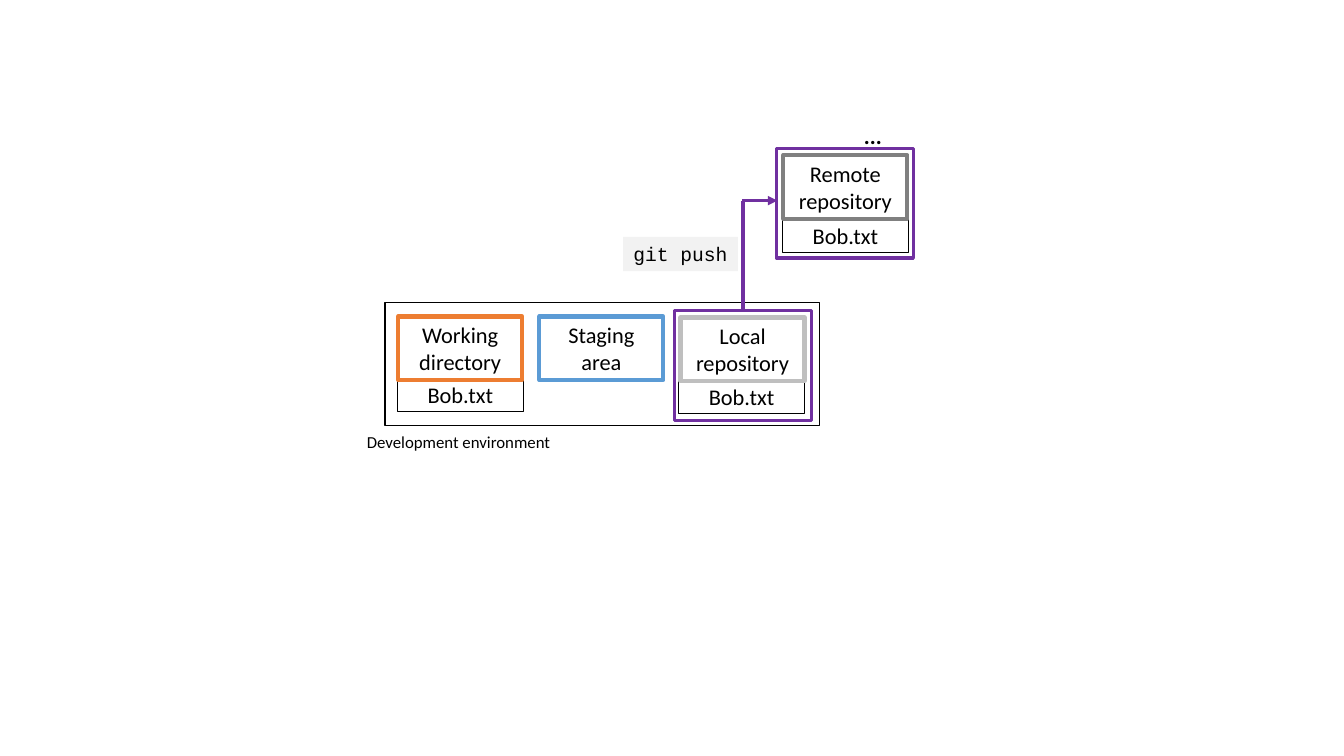
from lxml import etree
from pptx import Presentation
from pptx import util as u
from pptx.dml.color import RGBColor
from pptx.enum import shapes, text
from pptx.oxml import ns

BLACK = RGBColor(0x00, 0x00, 0x00)
ORANGE = RGBColor(0xED, 0x7D, 0x31)
BLUE = RGBColor(0x5B, 0x9B, 0xD5)
SILVER = RGBColor(0xBF, 0xBF, 0xBF)
GRAY = RGBColor(0x80, 0x80, 0x80)
PURPLE = RGBColor(0x70, 0x30, 0xA0)
CODE_FILL = RGBColor(0xF2, 0xF2, 0xF2)

STORE_SIZE = (1.23, 0.63)
FILE_SIZE = (1.25, 0.33)
HIGHLIGHT_SIZE = (1.36, 1.09)


def write(shape, words, size, font="Calibri", bold=False, align=text.PP_ALIGN.CENTER):
    shape.text_frame.text = words
    for paragraph in shape.text_frame.paragraphs:
        paragraph.alignment = align
        paragraph.font.name = font
        paragraph.font.size = u.Pt(size)
        paragraph.font.bold = bold
        paragraph.font.color.rgb = BLACK


def add_box(slide, position, size, line=None, weight=1, fill=None):
    shape = slide.shapes.add_shape(
        shapes.MSO_SHAPE.RECTANGLE, *(u.Inches(length) for length in position + size))
    shape.shadow.inherit = False
    if fill is None:
        shape.fill.background()
    else:
        shape.fill.solid()
        shape.fill.fore_color.rgb = fill
    if line is None:
        shape.line.fill.background()
    else:
        shape.line.color.rgb = line
        shape.line.width = u.Pt(weight)
    shape.text_frame.vertical_anchor = text.MSO_ANCHOR.MIDDLE
    return shape


def add_store(slide, name, position, color):
    write(add_box(slide, position, STORE_SIZE, color, 3), name, 16)


def add_file(slide, position):
    write(add_box(slide, position, FILE_SIZE, BLACK, 0.25), "Bob.txt", 16)


def add_label(slide, words, position, extent, size, bold=False):
    label = slide.shapes.add_textbox(*(u.Inches(length) for length in position + extent))
    write(label, words, size, bold=bold, align=text.PP_ALIGN.LEFT)
    label.text_frame.word_wrap = False


def add_command(slide, command, position, size):
    shape = add_box(slide, position, size, fill=CODE_FILL)
    write(shape, command, 14, "Courier New")
    shape.text_frame.word_wrap = False


def add_line(slide, start, end, arrow=False):
    connector = slide.shapes.add_connector(
        shapes.MSO_CONNECTOR.STRAIGHT, *(u.Inches(length) for length in start + end))
    connector.line.color.rgb = PURPLE
    connector.line.width = u.Pt(2.25)
    if arrow:
        etree.SubElement(connector.line._get_or_add_ln(), ns.qn("a:tailEnd"), type="triangle")
    etree.SubElement(connector._element.spPr, ns.qn("a:effectLst"))


def main():
    presentation = Presentation()
    presentation.slide_width = u.Inches(13.33)
    presentation.slide_height = u.Inches(7.5)
    slide = presentation.slides.add_slide(presentation.slide_layouts[6])

    for position in ((6.73, 3.77), (3.94, 3.75)):
        add_file(slide, position)
    add_box(slide, (3.82, 3), (4.31, 1.22), BLACK)
    add_label(slide, "Development environment", (3.54, 4.23), (2.04, 0.3), 12)
    for name, position, color in (
        ("Working directory", (3.95, 3.14), ORANGE),
        ("Staging area", (5.35, 3.14), BLUE),
        ("Local repository", (6.75, 3.15), SILVER),
    ):
        add_store(slide, name, position, color)

    add_label(slide, "...", (8.47, 1.16), (0.38, 0.37), 16, bold=True)
    for position in ((6.69, 3.08), (7.7, 1.47)):
        add_box(slide, position, HIGHLIGHT_SIZE, PURPLE, 2.25)
    add_line(slide, (7.37, 1.99), (7.37, 3.08))
    add_line(slide, (7.36, 1.99), (7.71, 1.99), arrow=True)
    add_command(slide, "git push", (6.18, 2.35), (1.14, 0.34))
    add_file(slide, (7.76, 2.17))
    add_store(slide, "Remote\nrepository", (7.77, 1.54), GRAY)

    presentation.save("out.pptx")


if __name__ == "__main__":
    main()
